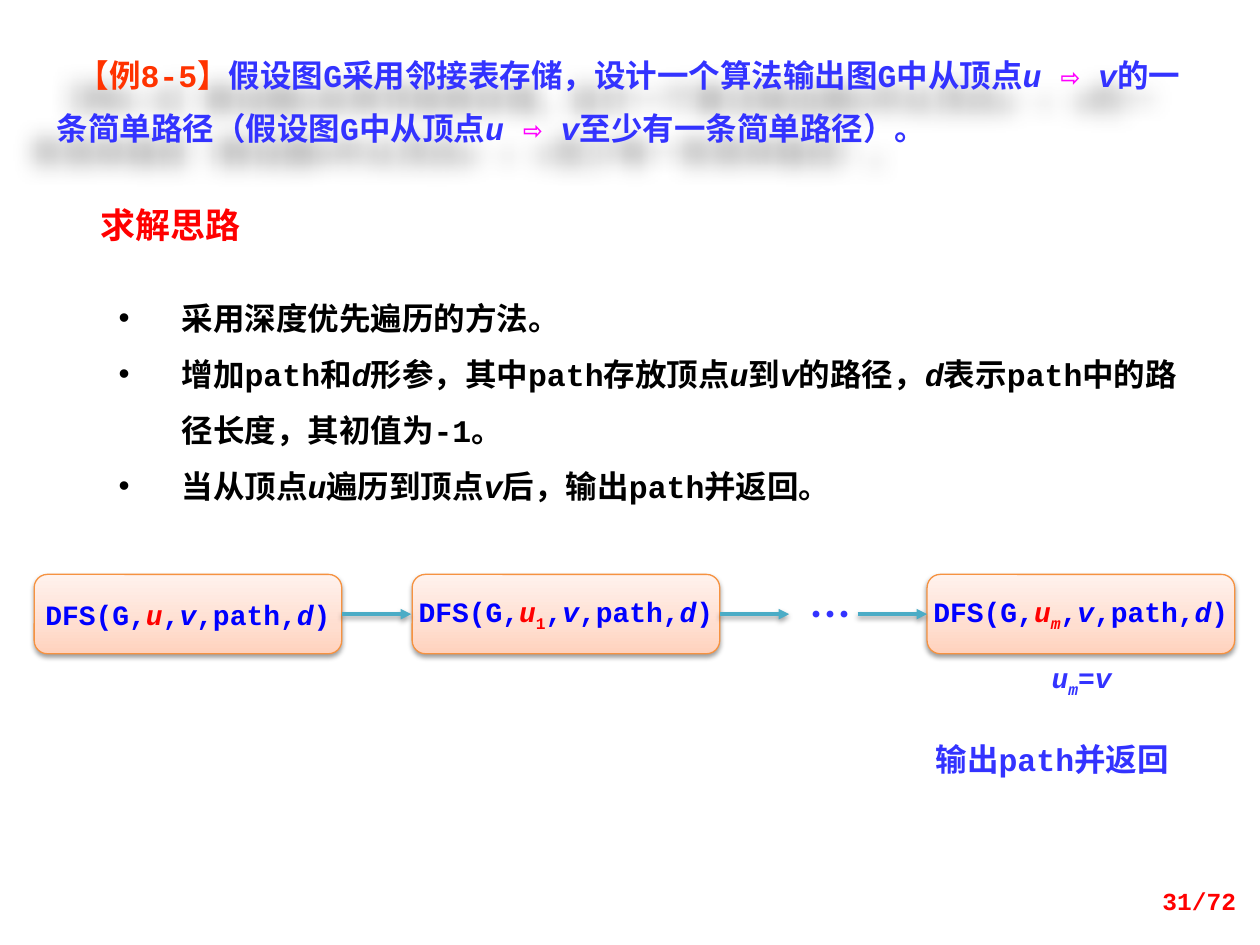
from copy import deepcopy
from lxml import etree
from pptx import Presentation
from pptx.dml.color import RGBColor
from pptx.enum.shapes import MSO_CONNECTOR as Connector, MSO_SHAPE as Shape
from pptx.enum.text import MSO_ANCHOR as Anchor, MSO_AUTO_SIZE as AutoSize, PP_ALIGN as Align
from pptx.oxml.ns import qn
from pptx.util import Cm, Pt

CODE, HAN = "Courier New", "Noto Sans CJK SC"
BLUE, RED, PINK, BLACK = "3333FF", "FF0000", "FF00FF", "000000"
CODE_BLUE, ORANGE, TEAL = "0000FF", "F69240", "4BACC6"
STOPS = [(0, "FFD2BD"), (0.35, "FFDED0"), (1, "FFF2ED")]

U_TO_V = [("u ", "i"), ("⇨ ", "", PINK), ("v", "i")]
TITLE = [
    ("【例8-5】", "", "FF3300"),
    ("假设图G采用邻接表存储，设计一个算法输出图G中从顶点", ""), *U_TO_V,
    ("的一条简单路径（假设图G中从顶点", ""), *U_TO_V,
    ("至少有一条简单路径）。", ""),
]
IDEAS = [
    [("采用深度优先遍历的方法。", "")],
    [("增加path和", ""), ("d", "i"), ("形参，其中path存放顶点", ""), ("u", "i"), ("到", ""),
     ("v", "i"), ("的路径，", ""), ("d", "i"), ("表示path中的路径长度，其初值为-1。", "")],
    [("当从顶点", ""), ("u", "i"), ("遍历到顶点", ""), ("v", "i"),
     ("后，输出path并返回。", "")],
]
CALLS = [
    (0.69, []),
    (8.31, [("1", "s", RED)]),
    (18.69, [("m", "is", RED)]),
]
CALL_TOP, CALL_WIDTH, CALL_HEIGHT, ARROW_LENGTH = 11.58, 6.2, 1.6, 1.4
LABELS = [
    ((1.78, 3.96, 4.37, 1.12), [("求解思路", "")], 20, RED, HAN, Align.LEFT, 0.25),
    ((15.95, 11.86, 1.6, 1.02), [("…", "")], 24, BLUE, HAN, Align.CENTER, 0),
    ((20.7, 13.36, 2.21, 0.69), [("u", "i"), ("m", "is"), ("=", ""), ("v", "i")],
     16, BLUE, CODE, Align.CENTER, 0),
    ((17.91, 14.78, 6.6, 1.02), [("输出path并返回", "")], 18, BLUE, CODE, Align.CENTER, 0.25),
    ((19.25, 17.65, 5.92, 1.02), [("31/72", "")], 14, RED, CODE, Align.RIGHT, 0.25),
]


def rgb(color):
    return RGBColor.from_string(color)


def place(box, left, top, width, height):
    box.left, box.top, box.width, box.height = Cm(left), Cm(top), Cm(width), Cm(height)


def write(para, spans, size, color, font=CODE):
    for text, flags, *own_color in spans:
        span = para.add_run()
        span.text = text
        span.font.name, span.font.size = font, Pt(size)
        span.font.bold, span.font.italic = True, "i" in flags
        span.font.color.rgb = rgb(own_color[0] if own_color else color)
        props = span._r.get_or_add_rPr()
        if "s" in flags:
            props.set("baseline", "-25000")
        east = etree.Element(qn("a:ea"), typeface=HAN)
        props.find(qn("a:latin")).addnext(east)


def indent(para, margin, first):
    props = para._p.get_or_add_pPr()
    props.set("marL", str(Cm(margin)))
    props.set("indent", str(Cm(first)))


def add_shadow(shape, blur, distance, angle, alpha):
    props = shape._element.spPr
    for old in props.findall(qn("a:effectLst")):
        props.remove(old)
    effects = etree.SubElement(props, qn("a:effectLst"))
    shadow = etree.SubElement(effects, qn("a:outerShdw"), blurRad=str(Pt(blur)),
                              dist=str(Pt(distance)), dir=str(angle * 60000),
                              algn="t", rotWithShape="0")
    tint = etree.SubElement(shadow, qn("a:srgbClr"), val=BLACK)
    etree.SubElement(tint, qn("a:alpha"), val=str(alpha * 1000))


def add_call(slide, left, subscript):
    box = slide.shapes.add_shape(Shape.ROUNDED_RECTANGLE, Cm(left), Cm(CALL_TOP),
                                 Cm(CALL_WIDTH), Cm(CALL_HEIGHT))
    box.fill.gradient()
    box.fill.gradient_angle = 90
    first = box._element.spPr.find(".//" + qn("a:gs"))
    first.addnext(deepcopy(first))
    for stop, (position, color) in zip(box.fill.gradient_stops, STOPS):
        stop.position, stop.color.rgb = position, rgb(color)
    box.line.color.rgb, box.line.width = rgb(ORANGE), Pt(0.75)
    add_shadow(box, 3.1, 1.6, 90, 38)
    frame = box.text_frame
    frame.word_wrap, frame.vertical_anchor = False, Anchor.MIDDLE
    para = frame.paragraphs[0]
    para.alignment = Align.CENTER
    spans = [("DFS(G,", ""), ("u", "i", RED), *subscript, (",", ""), ("v", "i"),
             (",path,", ""), ("d", "i"), (")", "")]
    write(para, spans, 16, CODE_BLUE)


def add_arrow(slide, left):
    middle = Cm(CALL_TOP + CALL_HEIGHT / 2)
    arrow = slide.shapes.add_connector(Connector.STRAIGHT, Cm(left), middle,
                                       Cm(left + ARROW_LENGTH), middle)
    arrow.line.color.rgb, arrow.line.width = rgb(TEAL), Pt(2)
    etree.SubElement(arrow.line._get_or_add_ln(), qn("a:tailEnd"), type="triangle")
    add_shadow(arrow, 3.1, 1.6, 90, 38)


def add_label(slide, area, spans, size, color, font, align, inset):
    box = slide.shapes.add_textbox(*map(Cm, area))
    frame = box.text_frame
    frame.word_wrap, frame.vertical_anchor = True, Anchor.MIDDLE
    frame.margin_left = frame.margin_right = Cm(inset)
    frame.margin_top = frame.margin_bottom = Cm(inset / 2)
    para = frame.paragraphs[0]
    para.alignment = align
    write(para, spans, size, color, font)


deck = Presentation()
deck.slide_width, deck.slide_height = Cm(25.4), Cm(19.05)
page = deck.slides.add_slide(deck.slide_layouts[1])

title = page.shapes.title
place(title, 0.89, 0.71, 23.7, 2.29)
title.text_frame.auto_size = AutoSize.NONE
title.text_frame.vertical_anchor = Anchor.TOP
heading = title.text_frame.paragraphs[0]
heading.alignment, heading.line_spacing = Align.LEFT, Pt(30)
indent(heading, 0, 0.42)
write(heading, TITLE, 18, BLUE)
add_shadow(title, 12, 20, 140, 40)

body = page.placeholders[1]
place(body, 1.98, 5.36, 22.63, 5.16)
frame = body.text_frame
frame.auto_size = AutoSize.NONE
frame.margin_left, frame.margin_right = Cm(0.41), Cm(0.25)
frame.margin_top = frame.margin_bottom = Cm(0.3)
for number, idea in enumerate(IDEAS):
    para = frame.add_paragraph() if number else frame.paragraphs[0]
    para.line_spacing, para.space_before = Pt(32), Pt(0)
    indent(para, 1.27, -1.27)
    write(para, idea, 18, BLACK)

for left, subscript in CALLS:
    add_call(page, left, subscript)
for left in (CALLS[0][0] + CALL_WIDTH, CALLS[1][0] + CALL_WIDTH, CALLS[2][0] - ARROW_LENGTH):
    add_arrow(page, left)
for label in LABELS:
    add_label(page, *label)

deck.save("out.pptx")
